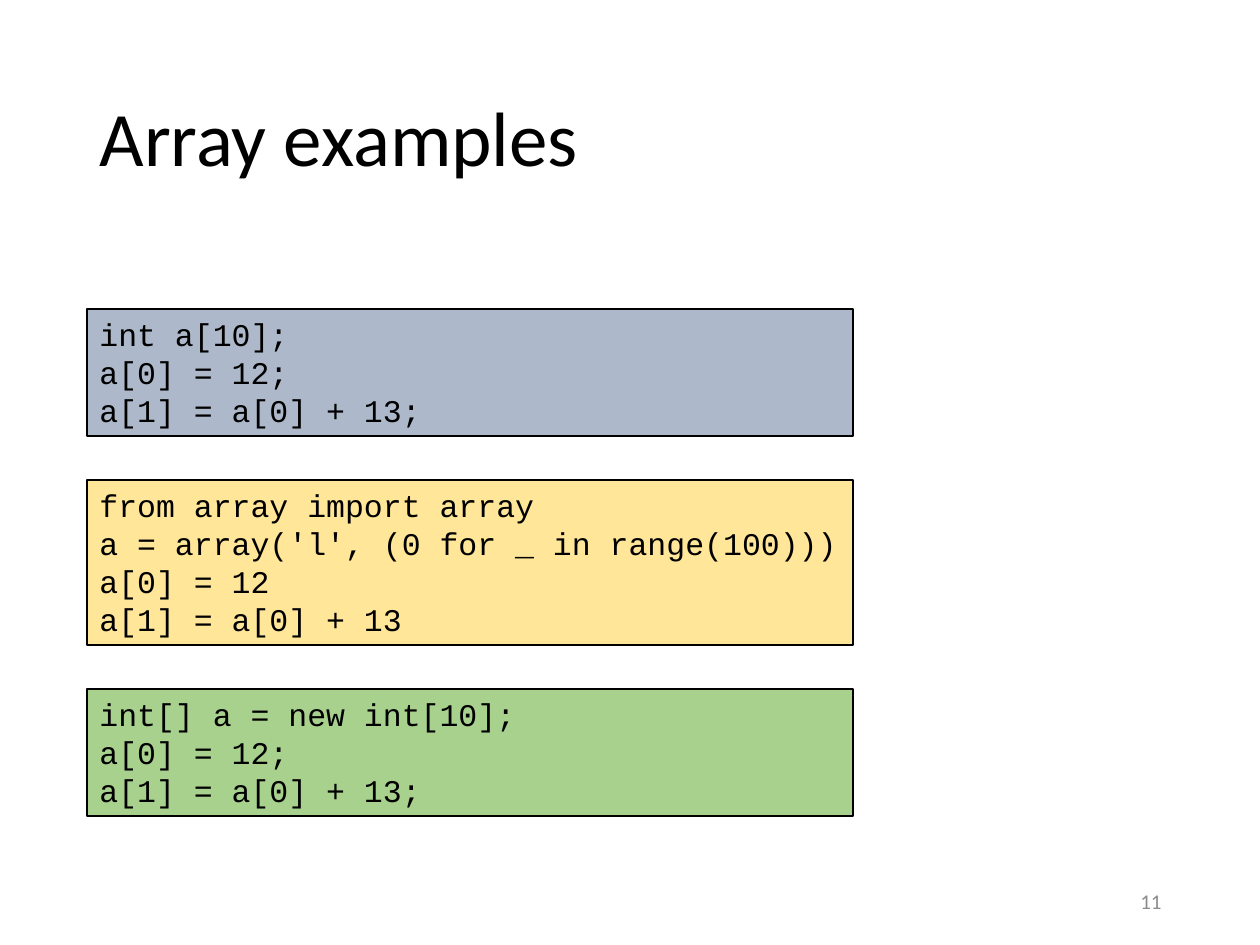
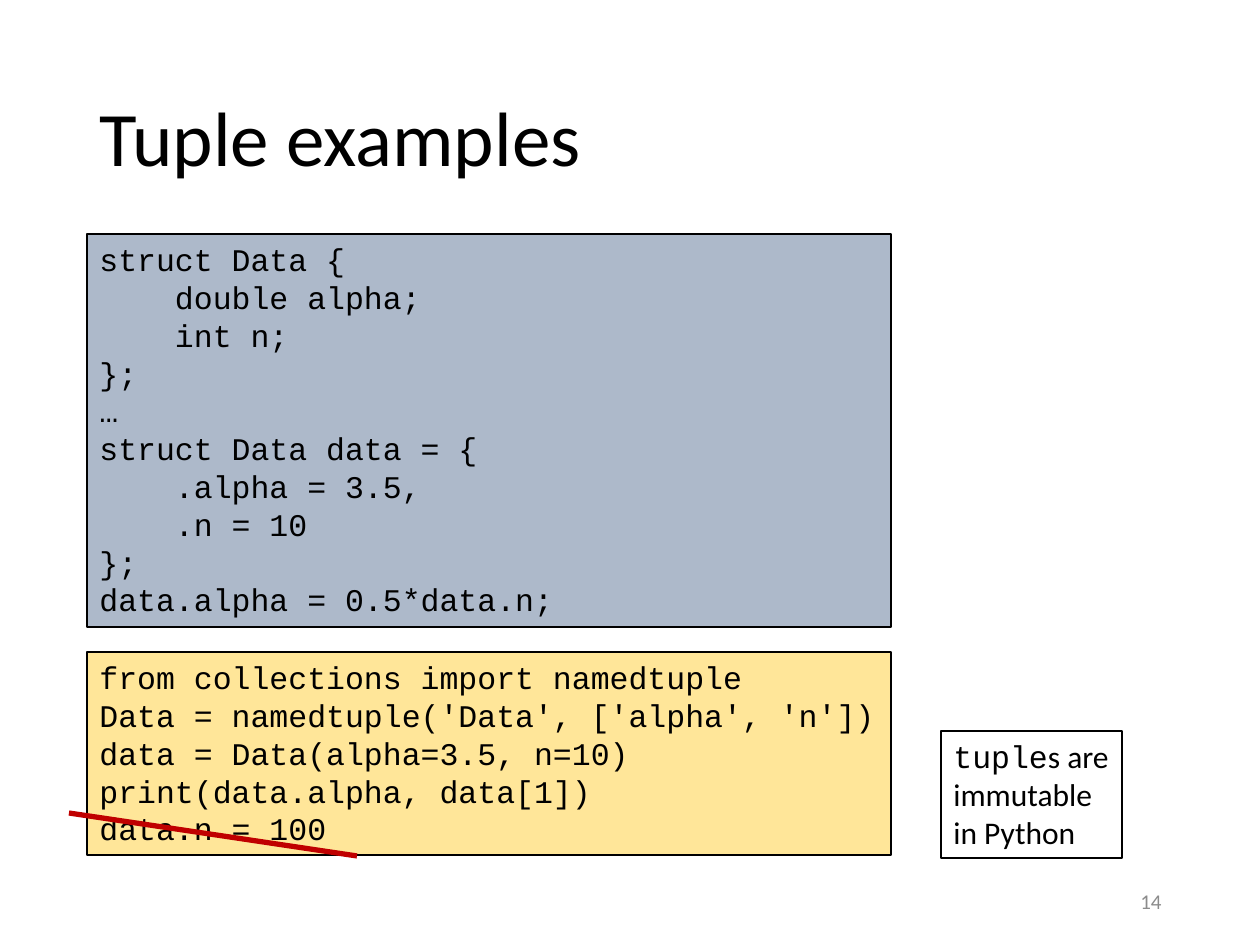
from pptx import Presentation
from pptx.dml.color import RGBColor
from pptx.enum.shapes import MSO_CONNECTOR
from pptx.enum.text import MSO_ANCHOR, MSO_AUTO_SIZE, PP_ALIGN
from pptx.oxml.ns import qn
from pptx.util import Emu, Pt
from lxml import etree

# Scale: 126 pixels to the inch
PX = 914400 / 126

# Enum members
LEFT, RIGHT = PP_ALIGN.LEFT, PP_ALIGN.RIGHT
TOP, MIDDLE = MSO_ANCHOR.TOP, MSO_ANCHOR.MIDDLE
GROW, FIXED = MSO_AUTO_SIZE.SHAPE_TO_FIT_TEXT, MSO_AUTO_SIZE.NONE
STRAIGHT = MSO_CONNECTOR.STRAIGHT

# Colours
BLACK = RGBColor(0x00, 0x00, 0x00)
GREY = RGBColor(0x8C, 0x8C, 0x8C)
BLUE = RGBColor(0xAD, 0xB9, 0xCA)
YELLOW = RGBColor(0xFF, 0xE6, 0x99)
GREEN = RGBColor(0xA9, 0xD1, 0x8E)
RED = RGBColor(0xC0, 0x00, 0x00)

# Text styles
TITLE = {"name": "Calibri", "size": Pt(44)}
BODY = {"name": "Calibri", "size": Pt(18)}
CODE = {"name": "Courier New", "size": Pt(18)}
FOOT = {"name": "Calibri", "size": Pt(12)}

# Shared layout, in pixels
EDGE = 87
TITLE_BOX = (EDGE, 50, 1086, 183)
FOOT_BOX = (890, 876, 284, 50)
ROW, PAD = 38, 13
TAB = 75.6  # four code characters

# Code samples; a tab is one indent step
ARRAYS = [
    (BLUE, ["int a[10];", "a[0] = 12;", "a[1] = a[0] + 13;"]),
    (YELLOW, ["from array import array",
              "a = array('l', (0 for _ in range(100)))",
              "a[0] = 12", "a[1] = a[0] + 13"]),
    (GREEN, ["int[] a = new int[10];", "a[0] = 12;", "a[1] = a[0] + 13;"]),
]
TUPLES = [
    (BLUE, ["struct Data {", "\tdouble alpha;", "\tint n;", "};", "…",
            "struct Data data = {", "\t.alpha = 3.5,", "\t.n = 10", "};",
            "data.alpha = 0.5*data.n;"]),
    (YELLOW, ["from collections import namedtuple",
              "Data = namedtuple('Data', ['alpha', 'n'])",
              "data = Data(alpha=3.5, n=10)",
              "print(data.alpha, data[1])", "data.n = 100"]),
]


def emu(*sizes):
    return [Emu(round(size * PX)) for size in sizes]


def apply(item, values):
    for key, value in values.items():
        setattr(item, key, value)


def add_run(para, text, style, color=BLACK):
    run = para.add_run()
    run.text = text
    apply(run.font, style)
    run.font.color.rgb = color


def text_box(slide, box, fill=None, framed=True, **frame):
    """Add a text box, framed by a thin black line if asked."""
    shape = slide.shapes.add_textbox(*emu(*box))
    apply(shape.text_frame, {"word_wrap": True, "vertical_anchor": TOP,
                             "auto_size": GROW, **frame})
    if fill is not None:
        shape.fill.solid()
        shape.fill.fore_color.rgb = fill
    if framed:
        shape.line.color.rgb = BLACK
        shape.line.width = Pt(0.75)
    return shape.text_frame


def base_slide(deck, title, number):
    """Title and page number, the same on every slide."""
    slide = deck.slides.add_slide(deck.slide_layouts[5])
    head = slide.shapes.title
    apply(head, dict(zip(("left", "top", "width", "height"),
                         emu(*TITLE_BOX))))
    apply(head.text_frame, {"vertical_anchor": MIDDLE, "auto_size": FIXED,
                            "word_wrap": True})
    para = head.text_frame.paragraphs[0]
    apply(para, {"alignment": LEFT, "line_spacing": 0.9})
    add_run(para, title, TITLE)

    foot = text_box(slide, FOOT_BOX, framed=False, vertical_anchor=MIDDLE,
                    auto_size=FIXED)
    foot.paragraphs[0].alignment = RIGHT
    add_run(foot.paragraphs[0], str(number), FOOT, GREY)
    return slide


def code_box(slide, box, fill, lines):
    frame = text_box(slide, box, fill)
    for i, line in enumerate(lines):
        para = frame.add_paragraph() if i else frame.paragraphs[0]
        steps = line.count("\t")
        if steps:
            props = para._p.get_or_add_pPr()
            props.set("marL", str(round(steps * TAB * PX)))
            props.set("indent", "0")
        add_run(para, line.lstrip("\t"), CODE)


def code_stack(slide, left, top, width, gap, samples):
    """Stack code boxes, each as tall as its lines; return the last box."""
    for fill, lines in samples:
        box = (left, top, width, ROW * len(lines) + PAD)
        code_box(slide, box, fill, lines)
        top += box[3] + gap
    return box


def strike(slide, box):
    """Cross out the last line of a code box."""
    left, bottom = box[0], box[1] + box[3]
    line = slide.shapes.add_connector(
        STRAIGHT, *emu(left - 18, bottom - 42, left + 270, bottom + 1))
    line.line.color.rgb = RED
    line.line.width = Pt(3)
    etree.SubElement(line._element.spPr, qn("a:effectLst"))


def tuple_note(slide, box):
    para = text_box(slide, box, word_wrap=False).paragraphs[0]
    add_run(para, "tuple", CODE)
    for i, text in enumerate(["s are", "immutable", "in Python"]):
        if i:
            para.add_line_break()
        add_run(para, text, BODY)


def array_slide(deck):
    slide = base_slide(deck, "Array examples", 11)
    code_stack(slide, EDGE, 309, 766, 44, ARRAYS)


def tuple_slide(deck):
    slide = base_slide(deck, "Tuple examples", 14)
    last = code_stack(slide, EDGE, 234, 804, 25, TUPLES)
    strike(slide, last)
    tuple_note(slide, (941, 731, 181, 3 * ROW + PAD))


deck = Presentation()
apply(deck, dict(zip(("slide_width", "slide_height"), emu(1260, 945))))
array_slide(deck)
tuple_slide(deck)
deck.save("out.pptx")
